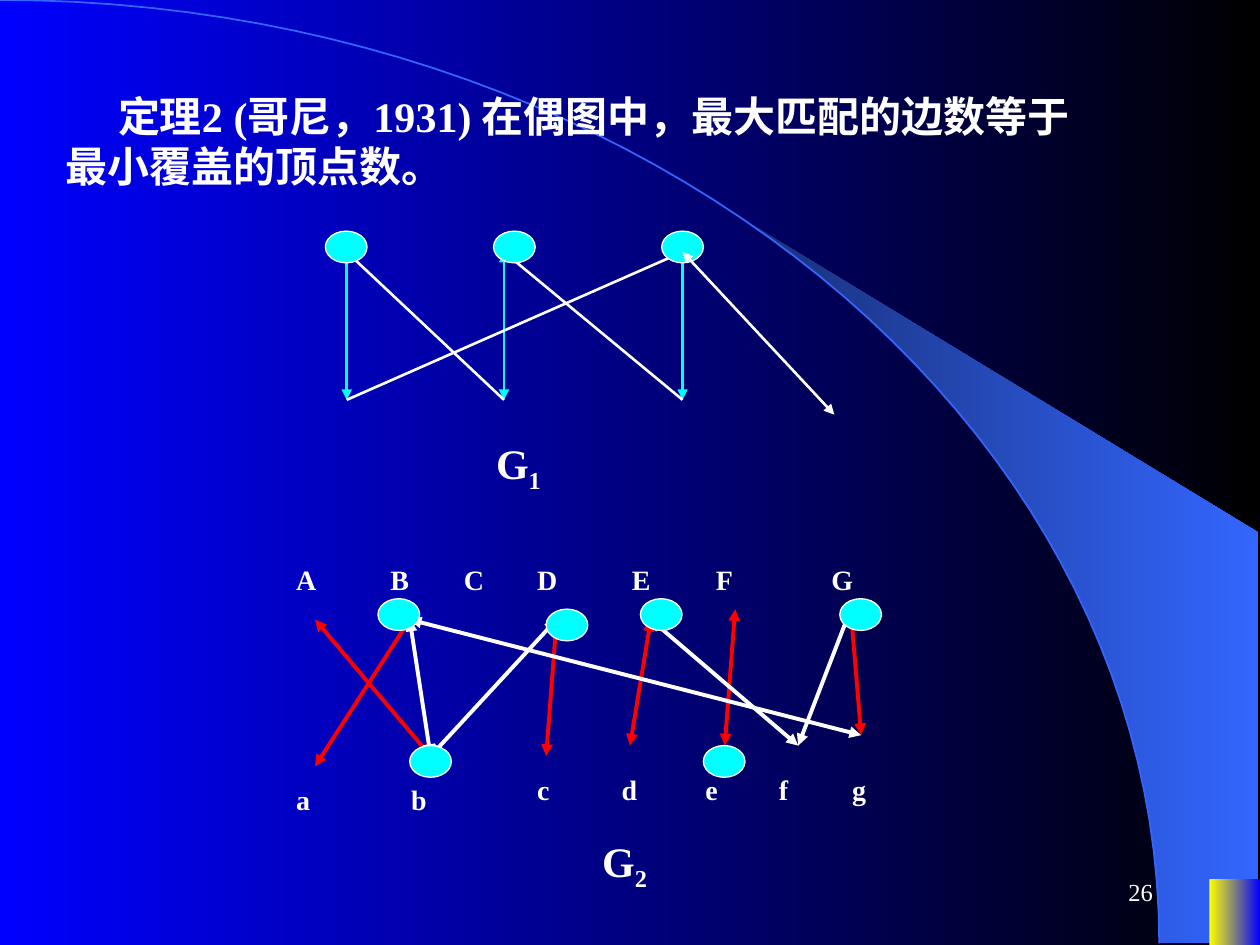
"""Slide on König's theorem with two bipartite graphs, G1 and G2."""
from lxml import etree
from pptx import Presentation
from pptx import util as u
from pptx.dml.color import RGBColor
from pptx.enum import shapes, text
from pptx.oxml import ns

COLORS = {"white": "FFFFFF", "cyan": "00FFFF", "red": "FF0000", "blue": "0000FF",
          "black": "000000", "yellow": "FFFF00", "arc": "3366FF", "wing": "182F76"}
RGB = {name: RGBColor.from_string(value) for name, value in COLORS.items()}

deck = Presentation()
deck.slide_width, deck.slide_height = u.Cm(25.4), u.Cm(19.05)
slide = deck.slides.add_slide(deck.slide_layouts[6])


def put_text(left, top, width, height, runs, size, bold=True):
    box = slide.shapes.add_textbox(u.Cm(left), u.Cm(top), u.Cm(width), u.Cm(height))
    box.text_frame.word_wrap = True
    formats = {"name": "Times New Roman", "size": u.Pt(size), "bold": bold}
    for words, baseline in runs:
        run = box.text_frame.paragraphs[0].add_run()
        run.text = words
        for key, value in formats.items():
            setattr(run.font, key, value)
        run.font.color.rgb = RGB["white"]
        if baseline:
            run.font._element.set("baseline", str(baseline))
    return box.text_frame


def put_edge(start, end, color, width, arrows=True):
    edge = slide.shapes.add_connector(
        shapes.MSO_CONNECTOR.STRAIGHT, *(u.Cm(value) for value in start + end))
    edge.line.color.rgb = RGB[color]
    edge.line.width = u.Pt(width)
    if arrows:
        for tip in ("a:headEnd", "a:tailEnd"):
            etree.SubElement(edge.line._get_or_add_ln(), ns.qn(tip), type="triangle")
    etree.SubElement(edge._element.spPr, ns.qn("a:effectLst"))


arc_controls = [(0, 0), (12.9, 0), (23.37, 8.51), (23.37, 19.02)]
arc = []
for step in range(51):
    t = step / 50
    weights = ((1 - t) ** 3, 3 * t * (1 - t) ** 2, 3 * t * t * (1 - t), t ** 3)
    arc.append(tuple(u.Cm(sum(w * point[axis] for w, point in zip(weights, arc_controls)))
                     for axis in (0, 1)))

wing_outline = arc[22:] + [(u.Cm(25.37), u.Cm(19.02)), (u.Cm(25.37), u.Cm(10.74))]
wing_path = slide.shapes.build_freeform(*wing_outline[0])
wing_path.add_line_segments(wing_outline[1:], close=True)
wing = wing_path.convert_to_shape()
arc_path = slide.shapes.build_freeform(*arc[0])
arc_path.add_line_segments(arc[1:], close=False)
rim = arc_path.convert_to_shape()
rim.fill.background()
rim.line.color.rgb = RGB["arc"]
rim.line.width = u.Pt(1)
corner = slide.shapes.add_shape(
    shapes.MSO_SHAPE.RECTANGLE, u.Cm(24.38), u.Cm(17.73), u.Cm(1.02), u.Cm(1.32))
for decoration in (wing, rim, corner):
    decoration.shadow.inherit = False
for decoration in (wing, corner):
    decoration.line.fill.background()
for fill, ends in ((slide.background.fill, ("blue", "black")),
                   (wing.fill, ("wing", "arc")),
                   (corner.fill, ("yellow", "blue"))):
    fill.gradient()
    fill.gradient_angle = 0
    for position, (stop, color) in enumerate(zip(fill.gradient_stops, ends)):
        stop.position = position
        stop.color.rgb = RGB[color]

page_number = put_text(18.21, 17.35, 5.28, 1.27, [("26", 0)], 14, bold=False)
page_number.vertical_anchor = text.MSO_ANCHOR.MIDDLE
page_number.paragraphs[0].alignment = text.PP_ALIGN.RIGHT

theorem = put_text(1.07, 1.7, 21.39, 2.29, [
    ("定理2 (哥尼，1931) 在偶图中，最大匹配的边数等于最小覆盖的顶点数。", 0)], 24)
theorem.paragraphs[0]._p.get_or_add_pPr().set("indent", str(u.Cm(1.06)))

g2_nodes = {"A": (6.35, 12.49), "B": (8.26, 12.49), "D": (11.22, 12.49),
            "E": (13.12, 12.49), "F": (14.82, 12.28), "G": (17.15, 12.28),
            "a": (6.35, 15.45), "b": (8.68, 15.24), "c": (11.01, 15.24),
            "d": (12.7, 15.03), "e": (14.61, 15.03), "f": (16.09, 15.03),
            "g": (17.36, 14.82)}
g2_edges = {"red": ["Ab", "Ba", "Gg", "Dc", "Ed", "Fe"],
            "white": ["Bb", "Bg", "Db", "Gf", "Ef"]}
for color in ("red", "white"):
    for upper, lower in g2_edges[color]:
        put_edge(g2_nodes[upper], g2_nodes[lower], color, 2.25)

g2_labels = [("ABCDEFG", 11.22, (5.72, 7.62, 9.1, 10.58, 12.49, 14.18, 16.51)),
             ("ab", 15.66, (5.72, 8.04)),
             ("cdefg", 15.45, (10.58, 12.28, 13.97, 15.45, 16.93))]
for letters, top, lefts in g2_labels:
    for letter, left in zip(letters, lefts):
        put_text(left, top, 1.32, 0.94, [(letter, 0)], 16)

g1_columns = (6.99, 10.16, 13.76)
g1_top, g1_bottom = 5.08, 8.06
for column in g1_columns:
    put_edge((column, g1_top), (column, g1_bottom), "cyan", 1.5)
for column, following in zip(g1_columns, g1_columns[1:] + g1_columns[:1]):
    put_edge((column, g1_top), (following, g1_bottom), "white", 1.5, arrows=False)

for index, left, top in (("1", 9.75, 8.69), ("2", 11.89, 16.71)):
    put_text(left, top, 1.6, 1.42, [("G", 0), (index, -25000)], 24)

g1_cover = [(6.56 + 3.39 * place, 4.66) for place in range(3)]
g2_cover = [(7.62, 12.07), (8.26, 15.03), (11.01, 12.28),
            (12.91, 12.07), (14.18, 15.03), (16.93, 12.07)]
for left, top in g1_cover + g2_cover:
    vertex = slide.shapes.add_shape(
        shapes.MSO_SHAPE.OVAL, u.Cm(left), u.Cm(top), u.Cm(0.84), u.Cm(0.64))
    vertex.shadow.inherit = False
    vertex.fill.solid()
    vertex.fill.fore_color.rgb = RGB["cyan"]
    vertex.line.color.rgb = RGB["white"]
    vertex.line.width = u.Pt(0.75)

put_edge((g1_columns[2], g1_top), (16.82, 8.36), "white", 1.5)

deck.save("out.pptx")
